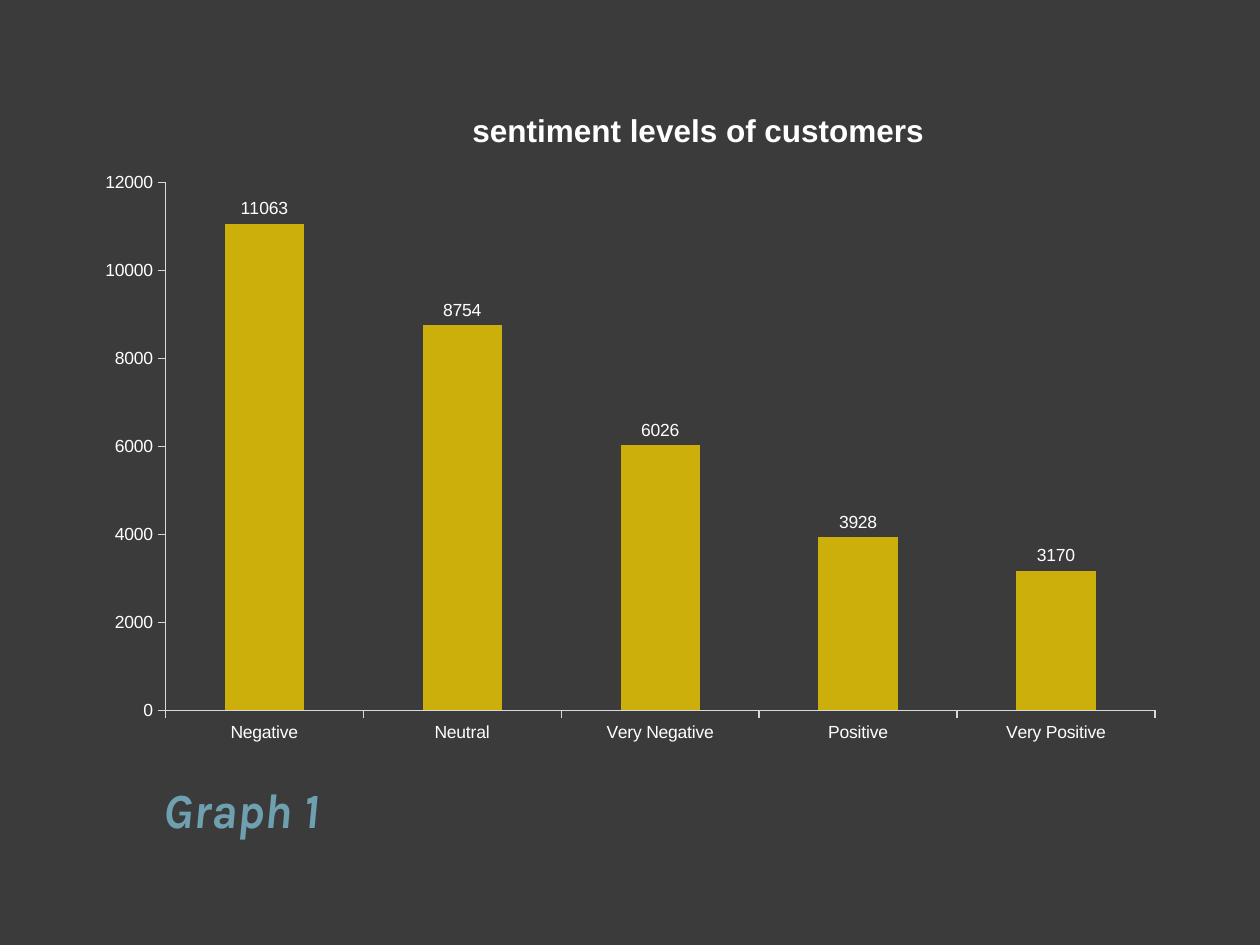
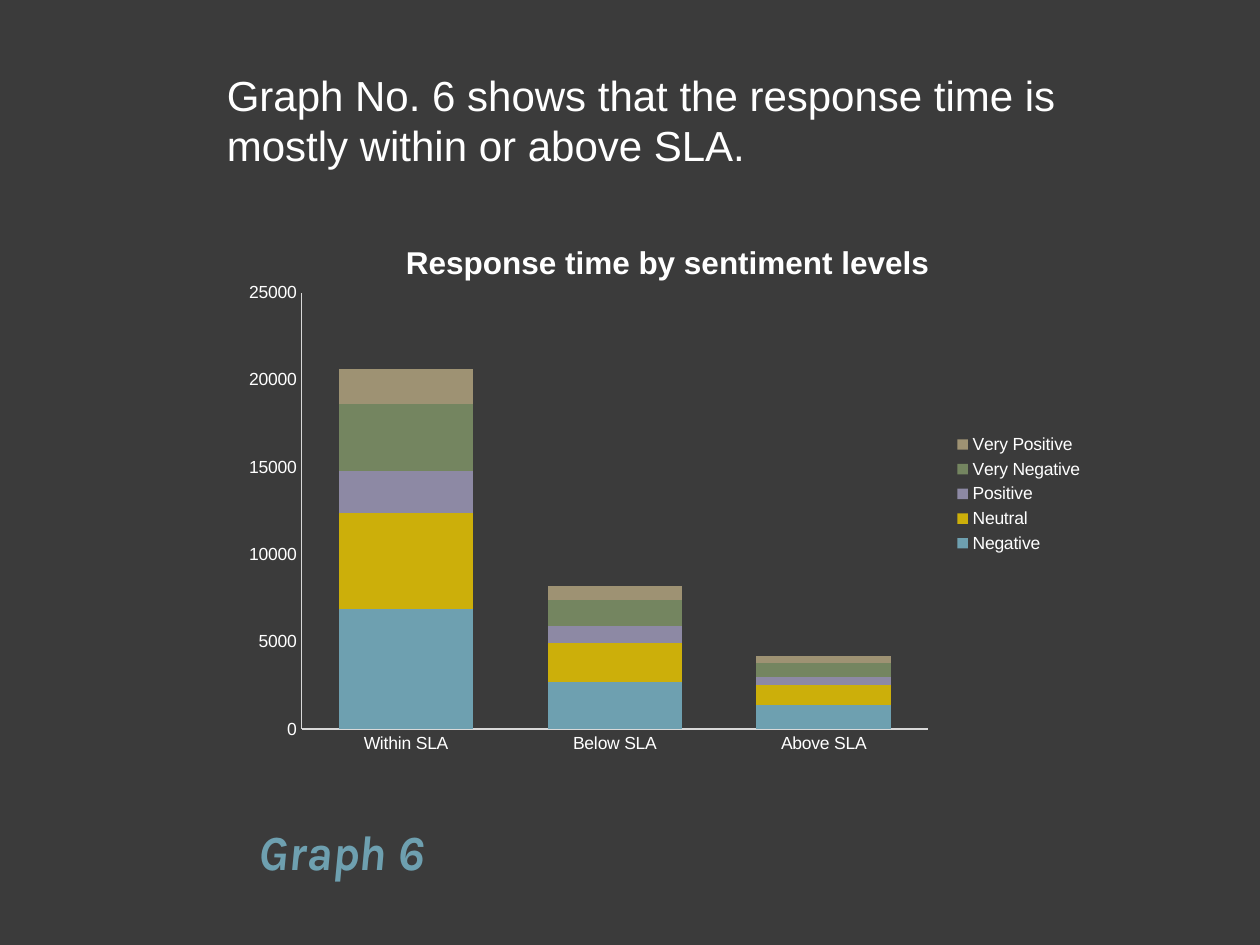
from dataclasses import dataclass

from lxml.etree import SubElement
from pptx import Presentation
from pptx.chart.chart import Chart
from pptx.chart.data import CategoryChartData
from pptx.dml.color import RGBColor
from pptx.enum.chart import XL_CHART_TYPE as ChartType
from pptx.enum.chart import XL_LABEL_POSITION as LabelPosition
from pptx.enum.chart import XL_LEGEND_POSITION as LegendPosition
from pptx.enum.chart import XL_TICK_MARK as TickMark
from pptx.enum.text import MSO_ANCHOR as Anchor
from pptx.enum.text import MSO_AUTO_SIZE as AutoSize
from pptx.enum.text import PP_ALIGN as Align
from pptx.oxml.ns import qn
from pptx.slide import Slide
from pptx.text.text import Font, TextFrame
from pptx.util import Inches, Pt

BACKGROUND = "3B3B3B"
WHITE = "FFFFFF"
AXIS = "D9D9D9"
BLUE = "6EA0B0"
GOLD = "CCAF0A"
PURPLE = "8D89A4"
GREEN = "748560"
TAN = "9E9273"
BODY_FONT = "Arial"
TITLE_FONT = "Karla"

Box = tuple[float, float, float, float]


@dataclass
class Series:
    name: str
    values: list[int]
    color: str


@dataclass
class GraphSlide:
    title: str
    title_box: Box
    chart_title: str
    chart_title_corner: tuple[float, float]
    chart_box: Box
    plot_area: Box
    kind: ChartType
    categories: list[str]
    series: list[Series]
    gap: int
    tick: TickMark
    axis_maximum: int
    axis_step: int
    comment: str = ""

    @property
    def stacked(self) -> bool:
        return self.kind == ChartType.COLUMN_STACKED


GRAPHS = [
    GraphSlide(
        title="Graph 1",
        title_box=(1.25, 6.08, 2.25, 0.62),
        chart_title="sentiment levels of customers",
        chart_title_corner=(0.35, 0.03),
        chart_box=(0.67, 0.67, 8.67, 5.33),
        plot_area=(0.074, 0.146, 0.906, 0.786),
        kind=ChartType.COLUMN_CLUSTERED,
        categories=["Negative", "Neutral", "Very Negative", "Positive", "Very Positive"],
        series=[Series("Series 1", [11063, 8754, 6026, 3928, 3170], GOLD)],
        gap=150,
        tick=TickMark.OUTSIDE,
        axis_maximum=12000,
        axis_step=2000,
    ),
    GraphSlide(
        title="Graph 6",
        title_box=(2, 6.42, 6, 0.62),
        chart_title="Response time by sentiment levels",
        chart_title_corner=(0.196, 0.045),
        chart_box=(1.83, 1.67, 6.87, 4.5),
        plot_area=(0.082, 0.145, 0.724, 0.77),
        kind=ChartType.COLUMN_STACKED,
        categories=["Within SLA", "Below SLA", "Above SLA"],
        series=[
            Series("Negative", [6900, 2700, 1400], BLUE),
            Series("Neutral", [5500, 2200, 1100], GOLD),
            Series("Positive", [2400, 1000, 500], PURPLE),
            Series("Very Negative", [3800, 1500, 800], GREEN),
            Series("Very Positive", [2000, 800, 400], TAN),
        ],
        gap=55,
        tick=TickMark.NONE,
        axis_maximum=25000,
        axis_step=5000,
        comment="Graph No. 6 shows that the response time is mostly within or above SLA.",
    ),
]


def color(value: str) -> RGBColor:
    return RGBColor.from_string(value)


def inches(box: Box) -> list[Inches]:
    return [Inches(length) for length in box]


def style_font(font: Font, name: str, size: float, shade: str,
               bold: bool = False, italic: bool = False) -> None:
    font.name, font.size = name, Pt(size)
    font.bold, font.italic = bold, italic
    font.color.rgb = color(shade)


def style_frame(frame: TextFrame, anchor: Anchor) -> None:
    frame.word_wrap = True
    frame.auto_size = AutoSize.NONE
    frame.vertical_anchor = anchor
    frame.margin_left = frame.margin_right = Inches(0.05)
    frame.margin_top = frame.margin_bottom = Inches(0.05)


def add_title(page: Slide, text: str, box: Box) -> None:
    title = page.shapes.title
    title.left, title.top, title.width, title.height = inches(box)
    style_frame(title.text_frame, Anchor.BOTTOM)
    para = title.text_frame.paragraphs[0]
    para.text = text
    para.alignment = Align.LEFT
    style_font(para.font, TITLE_FONT, 28, BLUE, bold=True, italic=True)


def add_comment(page: Slide, text: str) -> None:
    box = page.shapes.add_textbox(*inches((1.75, 0.5, 7.25, 0.88)))
    style_frame(box.text_frame, Anchor.TOP)
    para = box.text_frame.paragraphs[0]
    para.text = text
    style_font(para.font, BODY_FONT, 24, WHITE)


def set_layout(chart: Chart, tag: str, index: int, settings: dict[str, object]) -> None:
    parent = chart.element.find(f".//{qn(tag)}")
    for old in parent.findall(qn("c:layout")):
        parent.remove(old)
    layout = SubElement(parent, qn("c:layout"))
    parent.insert(index, layout)
    manual = SubElement(layout, qn("c:manualLayout"))
    for name, value in settings.items():
        SubElement(manual, qn(f"c:{name}")).set("val", str(value))


def style_axes(chart: Chart, graph: GraphSlide) -> None:
    for axis in (chart.category_axis, chart.value_axis):
        axis.has_major_gridlines = False
        axis.major_tick_mark = graph.tick
        axis.minor_tick_mark = TickMark.NONE
        axis.format.line.color.rgb = color(AXIS)
        axis.format.line.width = Pt(0.75)
    chart.value_axis.minimum_scale = 0
    chart.value_axis.maximum_scale = graph.axis_maximum
    chart.value_axis.major_unit = graph.axis_step


def style_plot(chart: Chart, graph: GraphSlide) -> None:
    plot = chart.plots[0]
    plot.vary_by_categories = False
    plot.gap_width = graph.gap
    plot.overlap = 100 if graph.stacked else 0
    for column, series in zip(plot.series, graph.series):
        column.format.fill.solid()
        column.format.fill.fore_color.rgb = color(series.color)
    if not graph.stacked:
        plot.has_data_labels = True
        plot.data_labels.show_value = True
        plot.data_labels.position = LabelPosition.OUTSIDE_END


def add_graph(page: Slide, graph: GraphSlide) -> None:
    data = CategoryChartData()
    data.categories = graph.categories
    for series in graph.series:
        data.add_series(series.name, series.values)
    chart = page.shapes.add_chart(graph.kind, *inches(graph.chart_box), data).chart
    style_font(chart.font, BODY_FONT, 10, WHITE)
    style_axes(chart, graph)
    style_plot(chart, graph)

    chart.has_title = True
    para = chart.chart_title.text_frame.paragraphs[0]
    para.text = graph.chart_title
    style_font(para.font, BODY_FONT, 18, WHITE, bold=True)

    chart.has_legend = graph.stacked
    if chart.has_legend:
        chart.legend.position = LegendPosition.RIGHT
        chart.legend.include_in_layout = False

    edges = {"xMode": "edge", "yMode": "edge"}
    set_layout(chart, "c:title", 1, edges | dict(zip("xy", graph.chart_title_corner)))
    set_layout(chart, "c:plotArea", 0,
               {"layoutTarget": "inner"} | edges | dict(zip("xywh", graph.plot_area)))


def main() -> None:
    deck = Presentation()
    deck.slide_width, deck.slide_height = Inches(10), Inches(7.5)
    title_only = deck.slide_layouts.get_by_name("Title Only")
    for graph in GRAPHS:
        page = deck.slides.add_slide(title_only)
        page.background.fill.solid()
        page.background.fill.fore_color.rgb = color(BACKGROUND)
        add_title(page, graph.title, graph.title_box)
        add_graph(page, graph)
        if graph.comment:
            add_comment(page, graph.comment)
    deck.save("out.pptx")


main()
